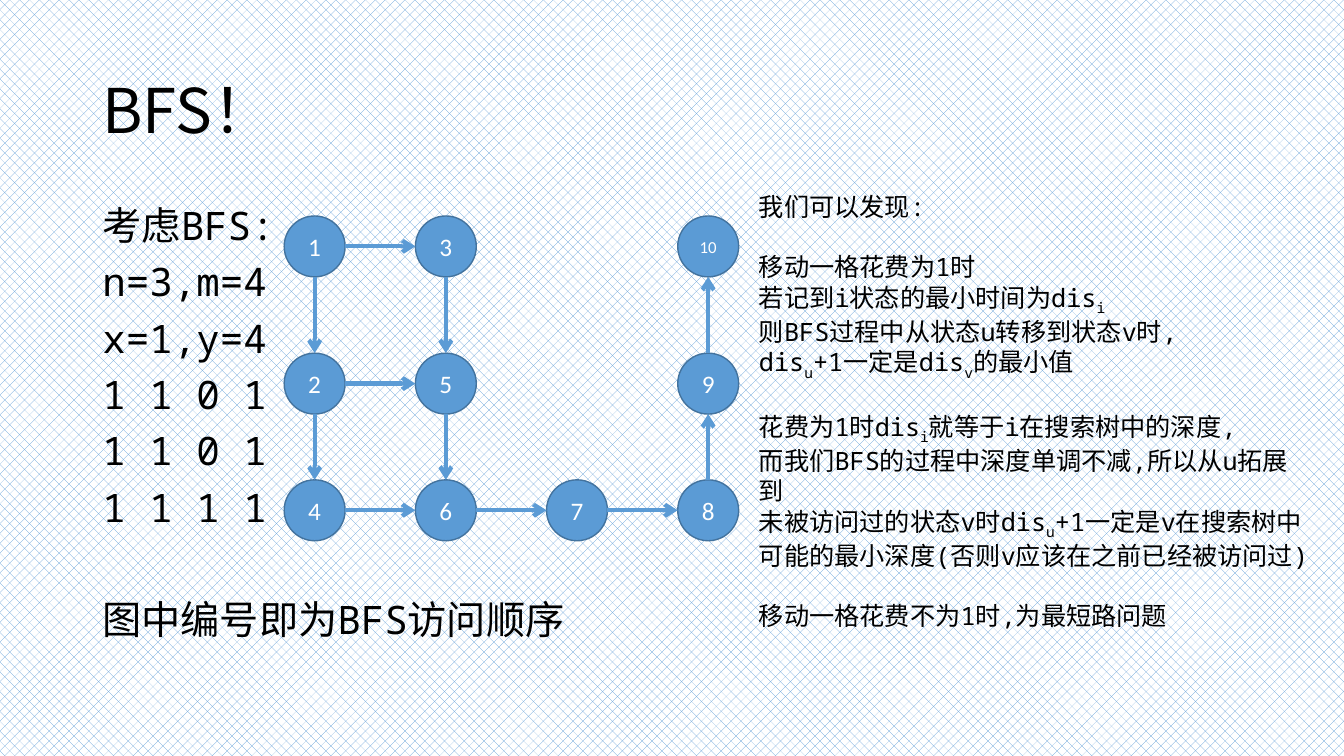
from lxml import etree
from pptx import Presentation
from pptx.dml.color import RGBColor
from pptx.enum.dml import MSO_PATTERN
from pptx.enum.shapes import MSO_CONNECTOR, MSO_SHAPE
from pptx.enum.text import MSO_ANCHOR, MSO_AUTO_SIZE, PP_ALIGN
from pptx.oxml.ns import qn
from pptx.util import Pt

PERCENT_30 = MSO_PATTERN.PERCENT_30
STRAIGHT = MSO_CONNECTOR.STRAIGHT
OVAL = MSO_SHAPE.OVAL
TOP, MIDDLE = MSO_ANCHOR.TOP, MSO_ANCHOR.MIDDLE
FIXED, GROW = MSO_AUTO_SIZE.NONE, MSO_AUTO_SIZE.SHAPE_TO_FIT_TEXT
LEFT, CENTER = PP_ALIGN.LEFT, PP_ALIGN.CENTER

BLUE = RGBColor(0x5B, 0x9B, 0xD5)
DARK_BLUE = RGBColor(0x43, 0x73, 0x9E)
WHITE = RGBColor(0xFF, 0xFF, 0xFF)
BLACK = RGBColor(0, 0, 0)
SANS, MONO, LABEL = "Noto Sans CJK SC", "Noto Sans Mono", "Calibri"

TITLE = "BFS！"
INPUT_BLOCKS = [
    ["考虑BFS:", "n=3,m=4", "x=1,y=4", "1 1 0 1", "1 1 0 1", "1 1 1 1"],
    ["图中编号即为BFS访问顺序"],
]
# Odd entries of each line are subscripts.
NOTE_BLOCKS = [
    [["我们可以发现:"]],
    [
        ["移动一格花费为1时"],
        ["若记到i状态的最小时间为dis", "i"],
        ["则BFS过程中从状态u转移到状态v时,"],
        ["dis", "u", "+1一定是dis", "v", "的最小值"],
    ],
    [
        ["花费为1时dis", "i", "就等于i在搜索树中的深度,"],
        ["而我们BFS的过程中深度单调不减,所以从u拓展到"],
        ["未被访问过的状态v时dis", "u", "+1一定是v在搜索树中"],
        ["可能的最小深度(否则v应该在之前已经被访问过)"],
    ],
    [["移动一格花费不为1时,为最短路问题"]],
]
NODE_CELLS = {
    1: (0, 0), 3: (1, 0), 10: (3, 0),
    2: (0, 1), 5: (1, 1), 9: (3, 1),
    4: (0, 2), 6: (1, 2), 7: (2, 2), 8: (3, 2),
}
EDGES = [(1, 2), (1, 3), (2, 4), (2, 5), (3, 5), (4, 6),
         (5, 6), (6, 7), (7, 8), (8, 9), (9, 10)]

FIRST_CENTER, COLUMN_STEP = 224.75, 93.7
ROW_CENTERS = [176, 274, 364.5]
RADIUS = 21.75


def add_run(paragraph, text, size, font, color):
    run = paragraph.add_run()
    run.text = text
    run.font.size = Pt(size)
    run.font.name = font
    run.font.color.rgb = color
    east_asian = etree.SubElement(run.font._element, qn("a:ea"))
    east_asian.set("typeface", SANS)
    return run


def place(shape, left, top, width, height):
    shape.left, shape.top = Pt(left), Pt(top)
    shape.width, shape.height = Pt(width), Pt(height)


def fill_blocks(frame, blocks, size, spacing, gap, line_spacing):
    for block_index, block in enumerate(blocks):
        for line_index, pieces in enumerate(block):
            first = block_index == 0 and line_index == 0
            paragraph = frame.paragraphs[0] if first else frame.add_paragraph()
            paragraph.alignment = LEFT
            paragraph.line_spacing = line_spacing
            starts_block = block_index > 0 and line_index == 0
            paragraph.space_before = Pt(spacing + gap if starts_block else spacing)
            for piece_index, piece in enumerate(pieces):
                run = add_run(paragraph, piece, size, MONO, BLACK)
                if piece_index % 2:
                    run.font._element.set("baseline", "-25000")


def node_center(number):
    column, row = NODE_CELLS[number]
    return FIRST_CENTER + column * COLUMN_STEP, ROW_CENTERS[row]


def add_node(shapes, number):
    x, y = node_center(number)
    node = shapes.add_shape(OVAL, Pt(x - RADIUS), Pt(y - RADIUS),
                            Pt(2 * RADIUS), Pt(2 * RADIUS))
    node.shadow.inherit = False
    node.fill.solid()
    node.fill.fore_color.rgb = BLUE
    node.line.color.rgb = DARK_BLUE
    node.line.width = Pt(1)
    node.text_frame.vertical_anchor = MIDDLE
    paragraph = node.text_frame.paragraphs[0]
    paragraph.alignment = CENTER
    add_run(paragraph, str(number), 12 if number > 9 else 18, LABEL, WHITE)


def add_edge(shapes, start, end):
    (x1, y1), (x2, y2) = node_center(start), node_center(end)
    dx = RADIUS * ((x2 > x1) - (x2 < x1))
    dy = RADIUS * ((y2 > y1) - (y2 < y1))
    edge = shapes.add_connector(STRAIGHT, Pt(x1 + dx), Pt(y1 + dy),
                                Pt(x2 - dx), Pt(y2 - dy))
    edge.line.color.rgb = BLUE
    edge.line.width = Pt(3)
    etree.SubElement(edge.line._get_or_add_ln(), qn("a:tailEnd"), type="arrow")
    etree.SubElement(edge._element.spPr, qn("a:effectLst"))


def main():
    presentation = Presentation()
    presentation.slide_width, presentation.slide_height = Pt(960), Pt(540)
    slide = presentation.slides.add_slide(presentation.slide_layouts[1])
    background = slide.background.fill
    background.patterned()
    background.pattern = PERCENT_30
    background.fore_color.rgb = BLUE
    background.back_color.rgb = WHITE

    title = slide.shapes.title
    place(title, 66, 28.8, 828, 104.4)
    title.text_frame.vertical_anchor = MIDDLE
    paragraph = title.text_frame.paragraphs[0]
    paragraph.alignment = LEFT
    paragraph.line_spacing = 0.9
    add_run(paragraph, TITLE, 44, SANS, BLACK)

    body = slide.placeholders[1]
    place(body, 66, 144, 828, 342.7)
    body.text_frame.auto_size = FIXED
    body.text_frame.vertical_anchor = TOP
    input_blocks = [[[line] for line in block] for block in INPUT_BLOCKS]
    fill_blocks(body.text_frame, input_blocks, 28, 10, 40, 0.9)
    for paragraph in body.text_frame.paragraphs:
        properties = paragraph._p.get_or_add_pPr()
        properties.set("marL", "0")
        properties.set("indent", "0")
        etree.SubElement(properties, qn("a:buNone"))

    graph = slide.shapes.add_group_shape()
    for number in NODE_CELLS:
        add_node(graph.shapes, number)
    for start, end in EDGES:
        add_edge(graph.shapes, start, end)

    notes = slide.shapes.add_textbox(Pt(535), Pt(133.2), Pt(409.7), Pt(312.5))
    notes.text_frame.word_wrap = True
    notes.text_frame.auto_size = GROW
    fill_blocks(notes.text_frame, NOTE_BLOCKS, 18, 0, 21.5, 1.0)
    presentation.save("out.pptx")


if __name__ == "__main__":
    main()
